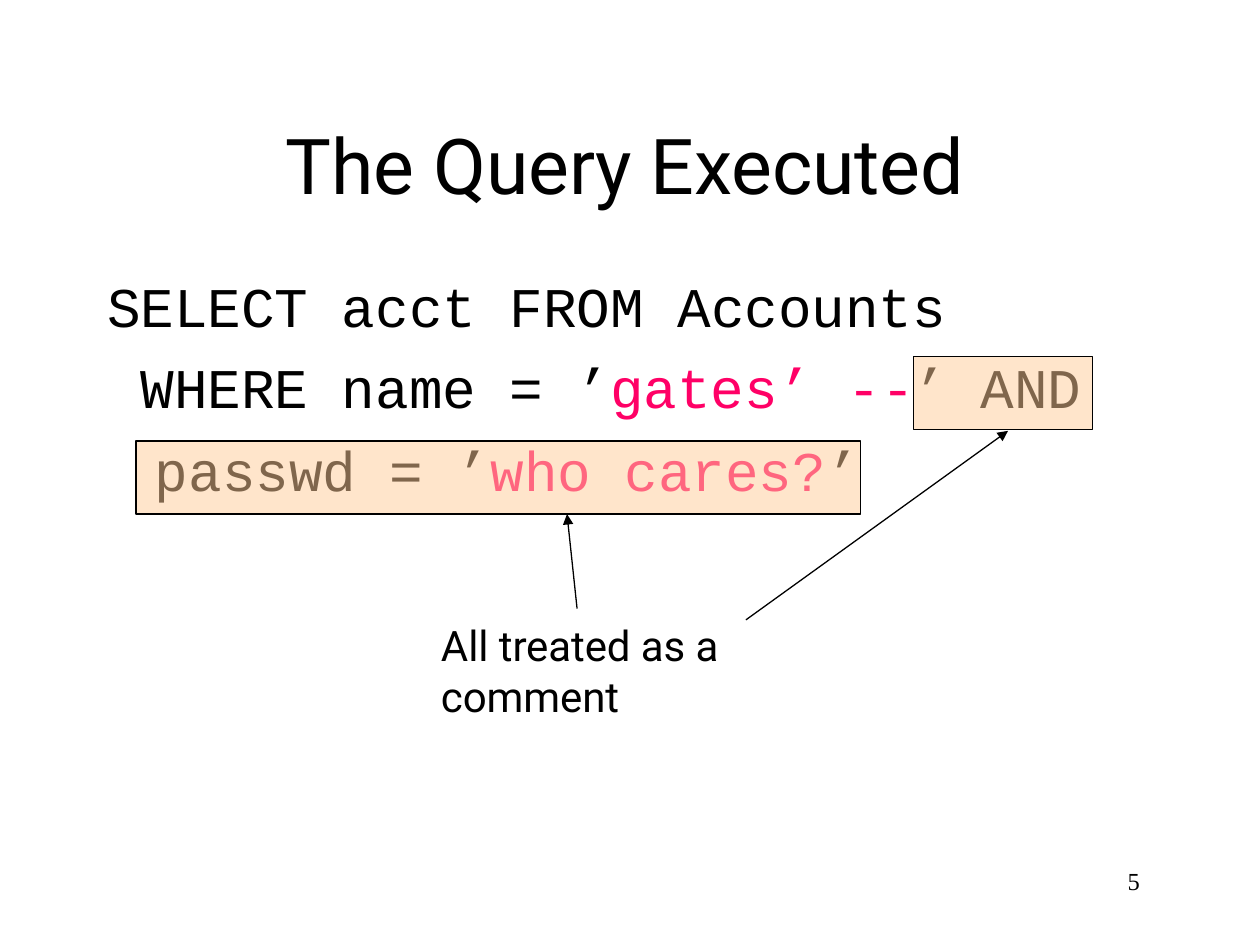
"""Build the slide that shows which part of an injected query becomes a comment."""
from lxml import etree
from pptx import Presentation
from pptx.dml.color import RGBColor
from pptx.enum.shapes import MSO_CONNECTOR, MSO_SHAPE
from pptx.enum.text import MSO_AUTO_SIZE
from pptx.oxml.ns import qn
from pptx.util import Inches, Pt

RECTANGLE = MSO_SHAPE.RECTANGLE
STRAIGHT = MSO_CONNECTOR.STRAIGHT
GROW = MSO_AUTO_SIZE.SHAPE_TO_FIT_TEXT

BLACK = RGBColor(0x00, 0x00, 0x00)
PINK = RGBColor(0xFF, 0x00, 0x66)
PEACH = RGBColor(0xFF, 0xCC, 0x99)

SANS = "Roboto"
CODE = "Courier New"
SERIF = "Times New Roman"


def add_text(slide, box, lines, font_name, size, inset=0, spacing=None, tracking=0, tab=None):
    """Add a one-paragraph text box from lines of (text, colour) runs."""
    frame = slide.shapes.add_textbox(*map(Inches, box)).text_frame
    frame.word_wrap = True
    frame.auto_size = GROW
    frame.margin_left = frame.margin_right = frame.margin_bottom = 0
    frame.margin_top = Inches(inset)
    paragraph = frame.paragraphs[0]
    if tab:
        tabs = etree.SubElement(paragraph._p.get_or_add_pPr(), qn("a:tabLst"))
        etree.SubElement(tabs, qn("a:tab"), pos=str(Inches(tab)), algn="l")
    if spacing:
        paragraph.line_spacing = spacing
    for index, line in enumerate(lines):
        if index:
            paragraph.add_line_break()
        for text, colour in line:
            run = paragraph.add_run()
            run.text = text
            run.font.name = font_name
            run.font.size = Pt(size)
            run.font.color.rgb = colour
            run._r.get_or_add_rPr().set("spc", str(tracking))


def add_highlight(slide, box):
    """Cover commented-out code with a half-transparent outlined rectangle."""
    highlight = slide.shapes.add_shape(RECTANGLE, *map(Inches, box))
    highlight.shadow.inherit = False
    highlight.fill.solid()
    highlight.fill.fore_color.rgb = PEACH
    colour = highlight.fill._xPr.find(qn("a:solidFill"))[0]
    etree.SubElement(colour, qn("a:alpha"), val="50000")
    highlight.line.color.rgb = BLACK
    highlight.line.width = Pt(0.75)


def add_arrow(slide, start, end):
    """Draw a thin arrow from start to end."""
    arrow = slide.shapes.add_connector(STRAIGHT, *map(Inches, start + end))
    arrow.line.color.rgb = BLACK
    arrow.line.width = Pt(0.75)
    etree.SubElement(arrow.line._get_or_add_ln(), qn("a:tailEnd"), type="triangle")
    etree.SubElement(arrow._element.spPr, qn("a:effectLst"))


def main():
    """Assemble and save the slide."""
    deck = Presentation()
    deck.slide_width, deck.slide_height = Inches(10), Inches(7.5)
    slide = deck.slides.add_slide(deck.slide_layouts[6])

    add_text(slide, (2.27, 0.92, 5.5, 0.76), [[("The Query Executed", BLACK)]],
             SANS, 44, inset=0.01, tracking=-10)

    query = [[("SELECT acct FROM Accounts", BLACK)],
             [(" WHERE name = ’", BLACK), ("gates’\t--", PINK)]]
    add_text(slide, (0.85, 2.04, 6.7, 1.31), query,
             CODE, 32, inset=0.01, spacing=1.2, tracking=-5, tab=5.88)
    add_text(slide, (7.25, 2.87, 1.42, 0.5), [[("’ AND", BLACK)]],
             CODE, 32, spacing=Pt(33.1), tracking=-5)
    password = [[("passwd = ’", BLACK), ("who cares?", PINK), ("’", BLACK)]]
    add_text(slide, (1.23, 3.53, 5.7, 0.5), password,
             CODE, 32, spacing=Pt(33.1), tracking=-5)

    add_highlight(slide, (7.25, 2.83, 1.42, 0.58))
    add_highlight(slide, (1.08, 3.5, 5.75, 0.58))

    add_text(slide, (3.5, 4.91, 3.6, 0.43), [[("All treated as a comment", BLACK)]],
             SANS, 24, inset=0.01, tracking=-5)
    add_arrow(slide, (4.58, 4.83), (4.5, 4.08))
    add_arrow(slide, (5.92, 4.92), (8, 3.42))

    add_text(slide, (8.95, 6.88, 0.24, 0.24), [[("5", BLACK)]],
             SERIF, 14, spacing=Pt(16.3))

    deck.save("out.pptx")


if __name__ == "__main__":
    main()
